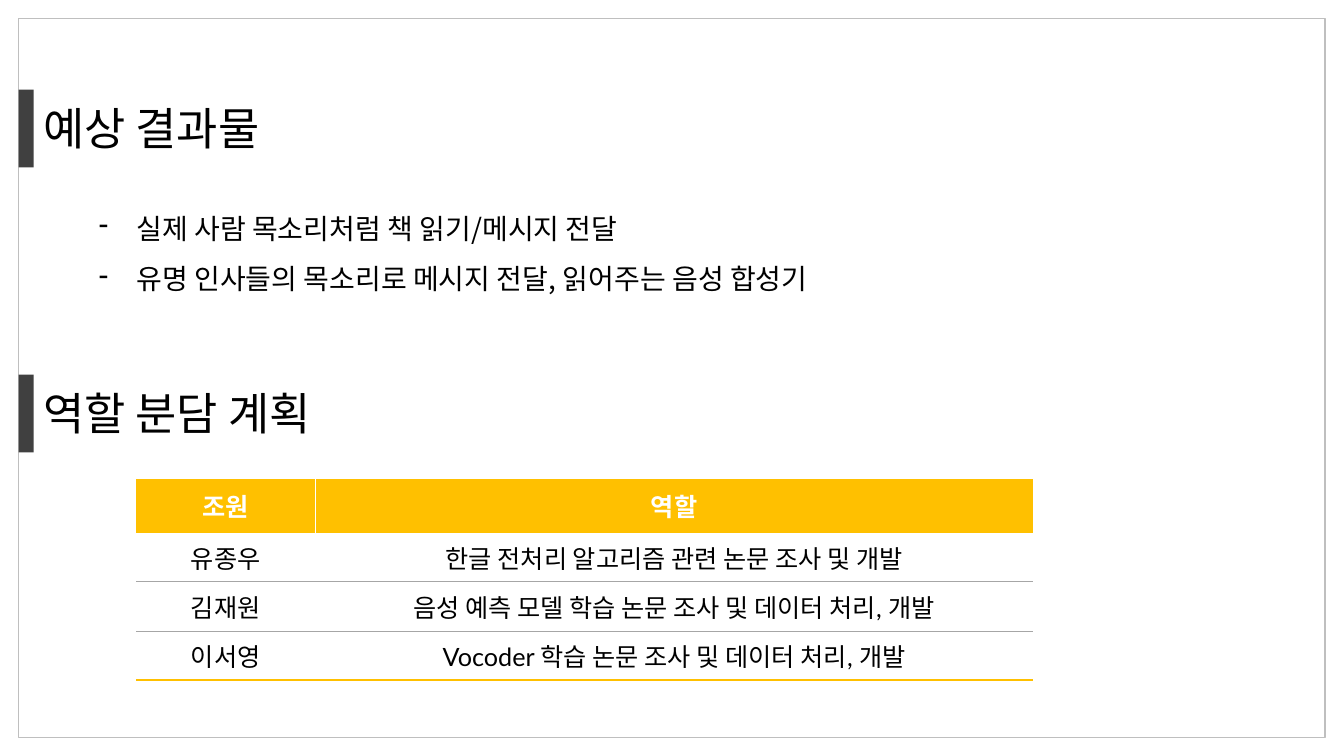
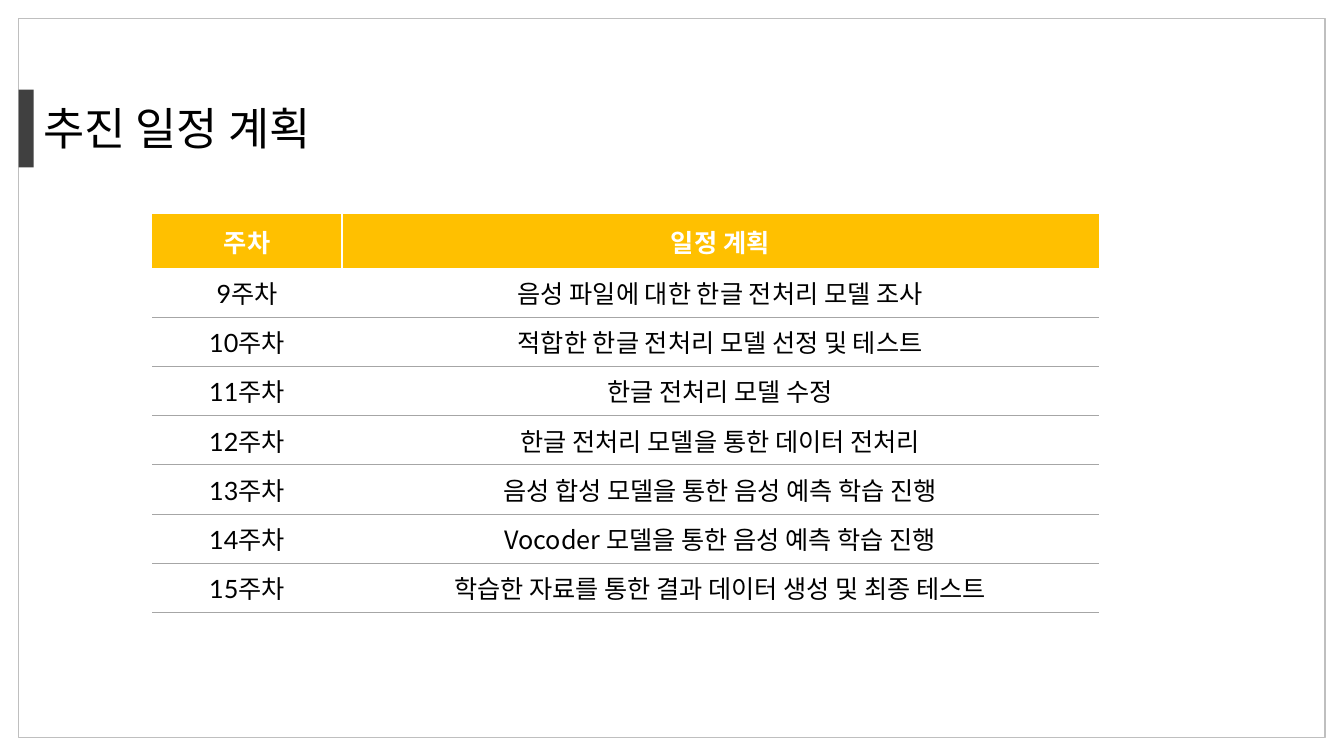
"""Build the two project plan slides: outcomes with roles, and the schedule."""
from dataclasses import dataclass

from lxml.etree import SubElement
from pptx import Presentation
from pptx.dml.color import RGBColor as Rgb
from pptx.enum.shapes import MSO_SHAPE as Preset
from pptx.enum.text import MSO_ANCHOR as Anchor, PP_ALIGN as Align
from pptx.oxml.ns import qn
from pptx.util import Cm, Pt


@dataclass(frozen=True)
class Theme:
    """Colours, fonts and type sizes of the deck."""
    ink: str = "000000"
    paper: str = "FFFFFF"
    accent: str = "FFC000"
    marker: str = "404040"
    frame: str = "BFBFBF"
    rule: str = "A6A6A6"
    korean: str = "Noto Sans CJK KR"
    latin: str = "Lato"
    title: int = 32
    body: int = 20
    cell: int = 18
    plain_table: str = "{2D5ABB26-0587-4C30-8999-92F81FD0307C}"


THEME = Theme()
THIN = (THEME.rule, 0.5)
WHITE = (THEME.paper, 1.5)
GOLD = (THEME.accent, 1.5)


def apply(target, formats):
    """Set each named format value on the target."""
    for name, value in formats.items():
        setattr(target, name, value)


def write(paragraph, text, size, color=THEME.ink, face=THEME.korean, bold=False):
    """Add a styled run to the paragraph."""
    run = paragraph.add_run()
    run.text = text
    apply(run.font, {"size": Pt(size), "name": face, "bold": bold})
    run.font.color.rgb = Rgb.from_string(color)
    SubElement(run.font._element, qn("a:ea"), typeface=THEME.korean)


def add_rectangle(slide, left, top, width, height, fill=None, line=None):
    """Draw a flat rectangle with an optional fill and outline."""
    box = slide.shapes.add_shape(
        Preset.RECTANGLE, Cm(left), Cm(top), Cm(width), Cm(height))
    box.shadow.inherit = False
    for part, color in ((box.fill, fill), (box.line.fill, line)):
        if color:
            part.solid()
            part.fore_color.rgb = Rgb.from_string(color)
        else:
            part.background()
    if line:
        box.line.width = Pt(1)


def add_text_frame(slide, left, top, width, height):
    """Return the wrapping text frame of a new text box."""
    frame = slide.shapes.add_textbox(
        Cm(left), Cm(top), Cm(width), Cm(height)).text_frame
    frame.word_wrap = True
    return frame


def add_heading(slide, text, top):
    """Place a section heading beside its dark marker."""
    add_rectangle(slide, 0.47, top, 0.38, 1.96, fill=THEME.marker)
    heading = add_text_frame(slide, 0.84, top + 0.15, 13.49, 3)
    write(heading.paragraphs[0], text, THEME.title)


def add_dash_list(slide, items, left, top, width, height):
    """Place a list with hanging dashes."""
    frame = add_text_frame(slide, left, top, width, height)
    for index, item in enumerate(items):
        entry = frame.add_paragraph() if index else frame.paragraphs[0]
        entry.line_spacing = 1.5
        properties = entry._p.get_or_add_pPr()
        for name, value in {"marL": Cm(0.95), "indent": -Cm(0.95)}.items():
            properties.set(name, str(value))
        SubElement(properties, qn("a:buChar"), char="-")
        write(entry, item, THEME.body)


def add_border(cell, side, color, width):
    """Draw one border of a cell."""
    edge = SubElement(cell._tc.get_or_add_tcPr(), qn(f"a:ln{side}"),
                      w=str(Pt(width)))
    SubElement(SubElement(edge, qn("a:solidFill")), qn("a:srgbClr"), val=color)


def fill_cell(cell, text, borders, fill=None, **style):
    """Format a centred cell and write its text."""
    for side, border in borders.items():
        add_border(cell, side, *border)
    if fill:
        cell.fill.solid()
        cell.fill.fore_color.rgb = Rgb.from_string(fill)
    else:
        cell.fill.background()
    cell.vertical_anchor = Anchor.MIDDLE
    label = cell.text_frame.paragraphs[0]
    label.alignment = Align.CENTER
    write(label, text, THEME.cell, **style)


def add_plan_table(slide, header, rows, left, top, unit, faces, closing):
    """Place a table whose second column is four times the first."""
    heights = [1.35] + [1.24] * len(rows)
    table = slide.shapes.add_table(
        len(heights), 2, Cm(left), Cm(top), Cm(5 * unit), Cm(sum(heights))).table
    properties = table._tbl.tblPr
    properties.find(qn("a:tableStyleId")).text = THEME.plain_table
    table.horz_banding = False
    for column, share in zip(table.columns, (1, 4)):
        column.width = Cm(share * unit)
    for row, height in zip(table.rows, heights):
        row.height = Cm(height)
    for column, (text, side) in enumerate(zip(header, "RL")):
        fill_cell(table.cell(0, column), text, {side: WHITE}, THEME.accent,
                  color=THEME.paper, bold=True)
    for index, texts in enumerate(rows, 1):
        borders = {"T": THIN} if index > 1 else {}
        borders["B"] = closing if index == len(rows) else THIN
        for column, (text, face) in enumerate(zip(texts, faces)):
            fill_cell(table.cell(index, column), text, borders, face=face)


def add_slide(deck):
    """Add a blank slide with the thin page frame."""
    slide = deck.slides.add_slide(deck.slide_layouts[6])
    add_rectangle(slide, 0.47, 0.47, 32.92, 18.11, line=THEME.frame)
    return slide


def main():
    """Build and save the deck."""
    deck = Presentation()
    apply(deck, {"slide_width": Cm(33.87), "slide_height": Cm(19.05)})

    outcome = add_slide(deck)
    add_heading(outcome, "예상 결과물", 2.26)
    add_dash_list(outcome, [
        "실제 사람 목소리처럼 책 읽기/메시지 전달",
        "유명 인사들의 목소리로 메시지 전달, 읽어주는 음성 합성기",
    ], 2.24, 4.78, 27.08, 3.61)
    add_heading(outcome, "역할 분담 계획", 9.44)
    add_plan_table(outcome, ("조원", "역할"), [
        ("유종우", "한글 전처리 알고리즘 관련 논문 조사 및 개발"),
        ("김재원", "음성 예측 모델 학습 논문 조사 및 데이터 처리, 개발"),
        ("이서영", "Vocoder 학습 논문 조사 및 데이터 처리, 개발"),
    ], 3.43, 12.07, 4.52, (THEME.latin, THEME.latin), GOLD)

    schedule = add_slide(deck)
    add_heading(schedule, "추진 일정 계획", 2.26)
    tasks = [
        "음성 파일에 대한 한글 전처리 모델 조사",
        "적합한 한글 전처리 모델 선정 및 테스트",
        "한글 전처리 모델 수정",
        "한글 전처리 모델을 통한 데이터 전처리",
        "음성 합성 모델을 통한 음성 예측 학습 진행",
        "Vocoder 모델을 통한 음성 예측 학습 진행",
        "학습한 자료를 통한 결과 데이터 생성 및 최종 테스트",
    ]
    weeks = [(f"{week}주차", task) for week, task in enumerate(tasks, 9)]
    add_plan_table(schedule, ("주차", "일정 계획"), weeks,
                   3.84, 5.4, 4.77, (THEME.latin, THEME.korean), THIN)

    deck.save("out.pptx")


if __name__ == "__main__":
    main()
